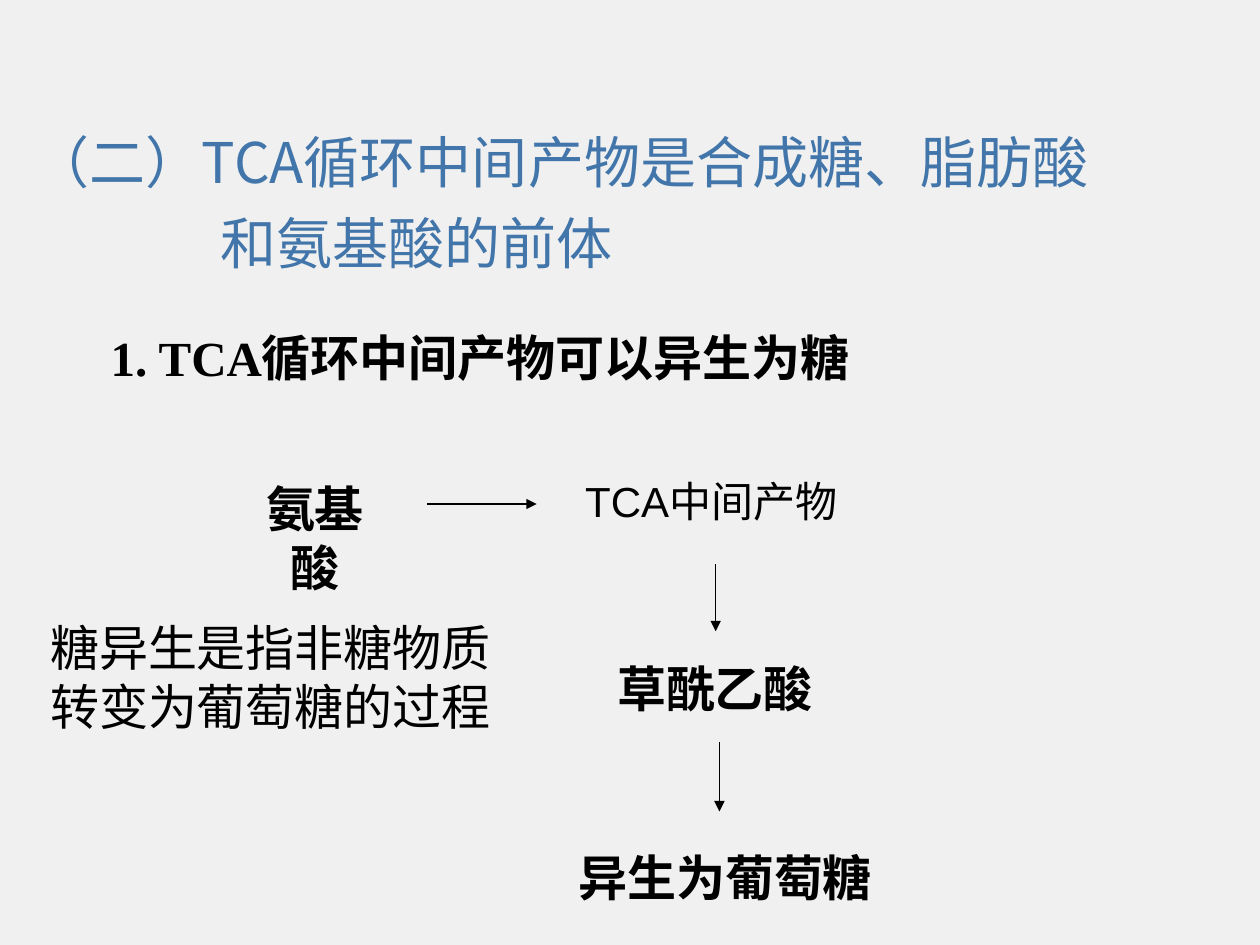
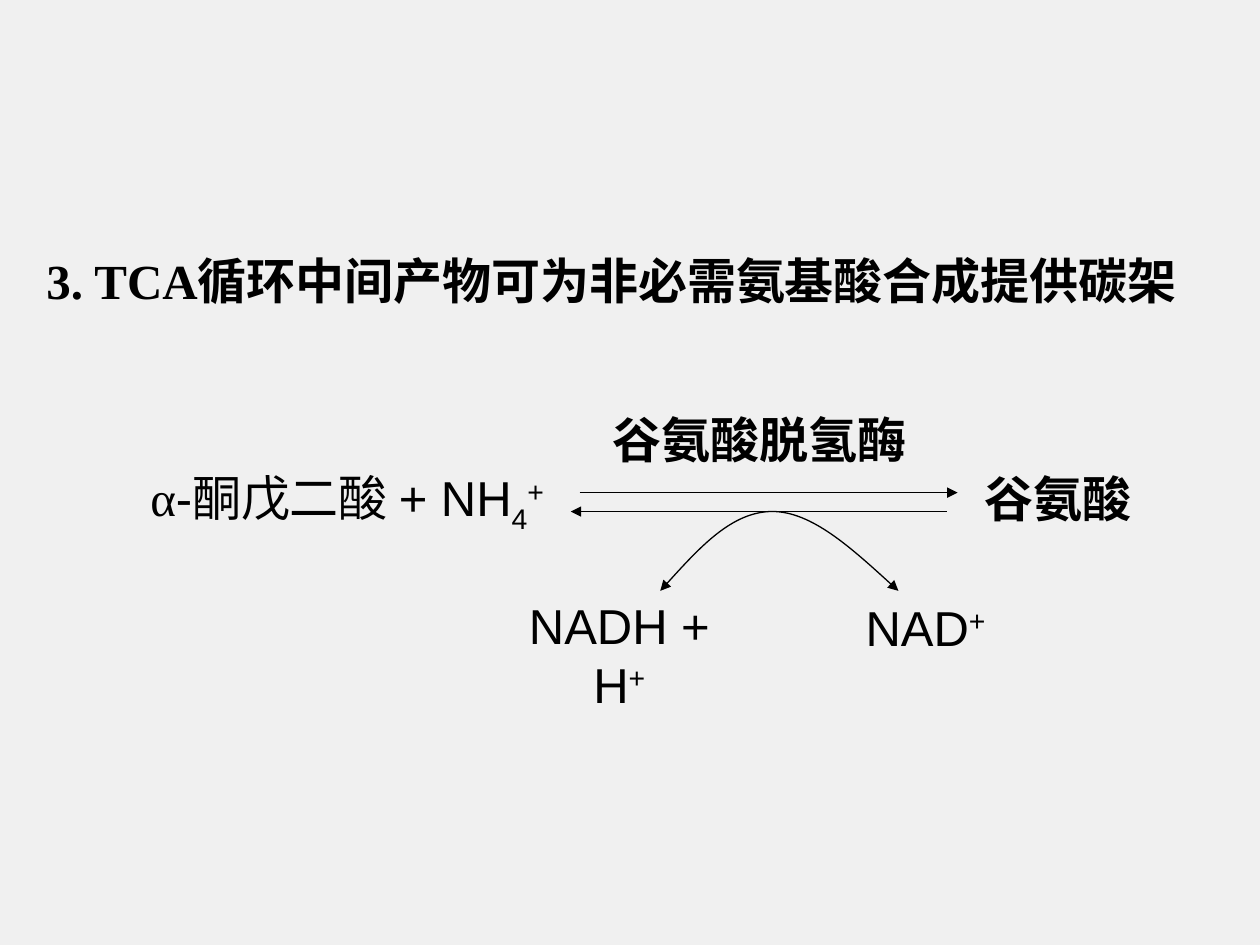
from lxml import etree
from pptx import Presentation
from pptx.dml.color import RGBColor
from pptx.enum import shapes, text
from pptx.oxml import ns
from pptx.util import Emu, Inches, Pt

COLUMNS, ROWS = 20, 15
WIDTH, HEIGHT = Inches(10), Inches(7.5)
INK, TITLE, PAPER = "000000", "4276AA", "F0F0F0"
SANS, SERIF, CJK = "Arial", "Times New Roman", "Noto Sans CJK SC"
SUBSCRIPT, SUPERSCRIPT = -25, 30
CENTER, LEFT = text.PP_ALIGN.CENTER, text.PP_ALIGN.LEFT


def color(value):
    return RGBColor.from_string(value)


def across(columns):
    return Emu(round(WIDTH * columns / COLUMNS))


def down(rows):
    return Emu(round(HEIGHT * rows / ROWS))


def add_slide(prs):
    s = prs.slides.add_slide(prs.slide_layouts[6])
    s.background.fill.solid()
    s.background.fill.fore_color.rgb = color(PAPER)
    return s


def add_run(p, words, font=SANS, size=28, bold=False, ink=INK, shift=0):
    r = p.add_run()
    r.text = words
    r.font.name, r.font.size, r.font.bold = font, Pt(size), bold
    r.font.color.rgb = color(ink)
    rPr = r.font._element
    etree.SubElement(rPr, ns.qn("a:ea"), typeface=CJK)
    if shift:
        rPr.set("baseline", str(shift * 1000))


def add_box(s, left, top, width, height, align=LEFT, wrap=True, grow=False,
            hanging=0, before=0, spacing=None):
    sp = s.shapes.add_textbox(across(left), down(top), across(width), down(height))
    tf = sp.text_frame
    tf.word_wrap = wrap
    if grow:
        tf.auto_size = text.MSO_AUTO_SIZE.SHAPE_TO_FIT_TEXT
    p = tf.paragraphs[0]
    p.alignment, p.space_before, p.line_spacing = align, Pt(before), spacing
    if hanging:
        pPr = p._p.get_or_add_pPr()
        pPr.set("marL", str(across(hanging)))
        pPr.set("indent", str(-across(hanging)))
    return tf


def add_title(s, words):
    tf = add_box(s, 0.34, 1.84, 18, 2.5, hanging=2.96, spacing=1.2)
    tf.vertical_anchor = text.MSO_ANCHOR.MIDDLE
    add_run(tf.paragraphs[0], words, CJK, 32, ink=TITLE)


def add_heading(s, left, top, width, words, wrap):
    tf = add_box(s, left, top, width, 1.14, wrap=wrap, grow=True)
    add_run(tf.paragraphs[0], words, SERIF, bold=True)


def add_compound(s, left, top, width, words):
    tf = add_box(s, left, top, width, 1.58, CENTER, hanging=0.76, before=7)
    add_run(tf.paragraphs[0], words, SERIF, bold=True)


def add_reactants(s, left, top, width):
    tf = add_box(s, left, top, width, 1.58, CENTER, hanging=0.38, before=7.5, spacing=0.9)
    return tf.paragraphs[0]


def add_label(s, left, top, width, words, bold=False, charge=""):
    tf = add_box(s, left, top, width, 1.14, CENTER, wrap=False, grow=True)
    p = tf.paragraphs[0]
    add_run(p, words, bold=bold)
    if charge:
        add_run(p, charge, shift=SUPERSCRIPT)


def style_line(sp, ends):
    sp.line.color.rgb = color(INK)
    sp.line.width = Pt(0.75)
    for end in ends:
        etree.SubElement(sp.line._get_or_add_ln(), ns.qn(f"a:{end}"), type="triangle")


def add_arrow(s, x1, y1, x2, y2, end="tailEnd"):
    cxn = s.shapes.add_connector(shapes.MSO_CONNECTOR.STRAIGHT,
                                 across(x1), down(y1), across(x2), down(y2))
    style_line(cxn, [end])
    etree.SubElement(cxn._element.spPr, ns.qn("a:effectLst"))


def add_curve(s, start, controls):
    builder = s.shapes.build_freeform(across(start[0]), down(start[1]))
    builder.add_line_segments([(across(x), down(y)) for x, y in controls], close=False)
    sp = builder.convert_to_shape()
    segments = sp._element.xpath(".//a:lnTo")
    for i in range(0, len(segments), 3):
        bezier = etree.Element(ns.qn("a:cubicBezTo"))
        segments[i].addprevious(bezier)
        for segment in segments[i:i + 3]:
            bezier.append(segment[0])
            segment.getparent().remove(segment)
    sp.shadow.inherit = False
    sp.fill.background()
    style_line(sp, ["headEnd", "tailEnd"])


def build_gluconeogenesis(s):
    p = add_reactants(s, 8.36, 7.54, 5.86)
    add_run(p, "TCA中间产物", size=24)
    add_title(s, "（二）TCA循环中间产物是合成糖、脂肪酸和氨基酸的前体")
    add_heading(s, 1.56, 5.1, 12.32, "1. TCA循环中间产物可以异生为糖", wrap=False)
    add_compound(s, 8.42, 10.36, 5.86, "草酰乙酸")
    add_compound(s, 8.2, 13.36, 6.62, "异生为葡萄糖")
    add_label(s, 3.64, 7.5, 2.72, "氨基酸", bold=True)
    add_arrow(s, 6.78, 8, 8.52, 8)
    add_arrow(s, 11.36, 8.96, 11.36, 10.02)
    add_arrow(s, 11.42, 11.78, 11.42, 12.88)
    note = add_box(s, 0.6, 9.7, 8.04, 2.08, grow=True)
    add_run(note.paragraphs[0], "糖异生是指非糖物质转变为葡萄糖的过程")


def build_glutamate_synthesis(s):
    p = add_reactants(s, 1.42, 7.34, 8.18)
    add_run(p, "α", SERIF)
    add_run(p, "-酮戊二酸 + NH")
    add_run(p, "4", shift=SUBSCRIPT)
    add_run(p, "+", shift=SUPERSCRIPT)
    add_heading(s, 0.54, 3.88, 19.3, "3. TCA循环中间产物可为非必需氨基酸合成提供碳架", wrap=True)
    add_compound(s, 14.32, 7.34, 4.96, "谷氨酸")
    add_compound(s, 8.9, 6.4, 6.3, "谷氨酸脱氢酶")
    add_arrow(s, 9.2, 7.82, 15.2, 7.82)
    add_arrow(s, 9.06, 8.12, 15.04, 8.12, "headEnd")
    add_label(s, 7.68, 9.36, 4.3, "NADH + H", charge="+")
    add_label(s, 13.54, 9.38, 2.3, "NAD", charge="+")
    add_curve(s, (10.48, 9.38), [(11.04, 8.76), (11.62, 8.12), (12.26, 8.12),
                                 (12.88, 8.12), (13.58, 8.76), (14.26, 9.38)])


def main():
    prs = Presentation()
    prs.slide_width, prs.slide_height = WIDTH, HEIGHT
    build_gluconeogenesis(add_slide(prs))
    build_glutamate_synthesis(add_slide(prs))
    prs.save("out.pptx")


if __name__ == "__main__":
    main()
